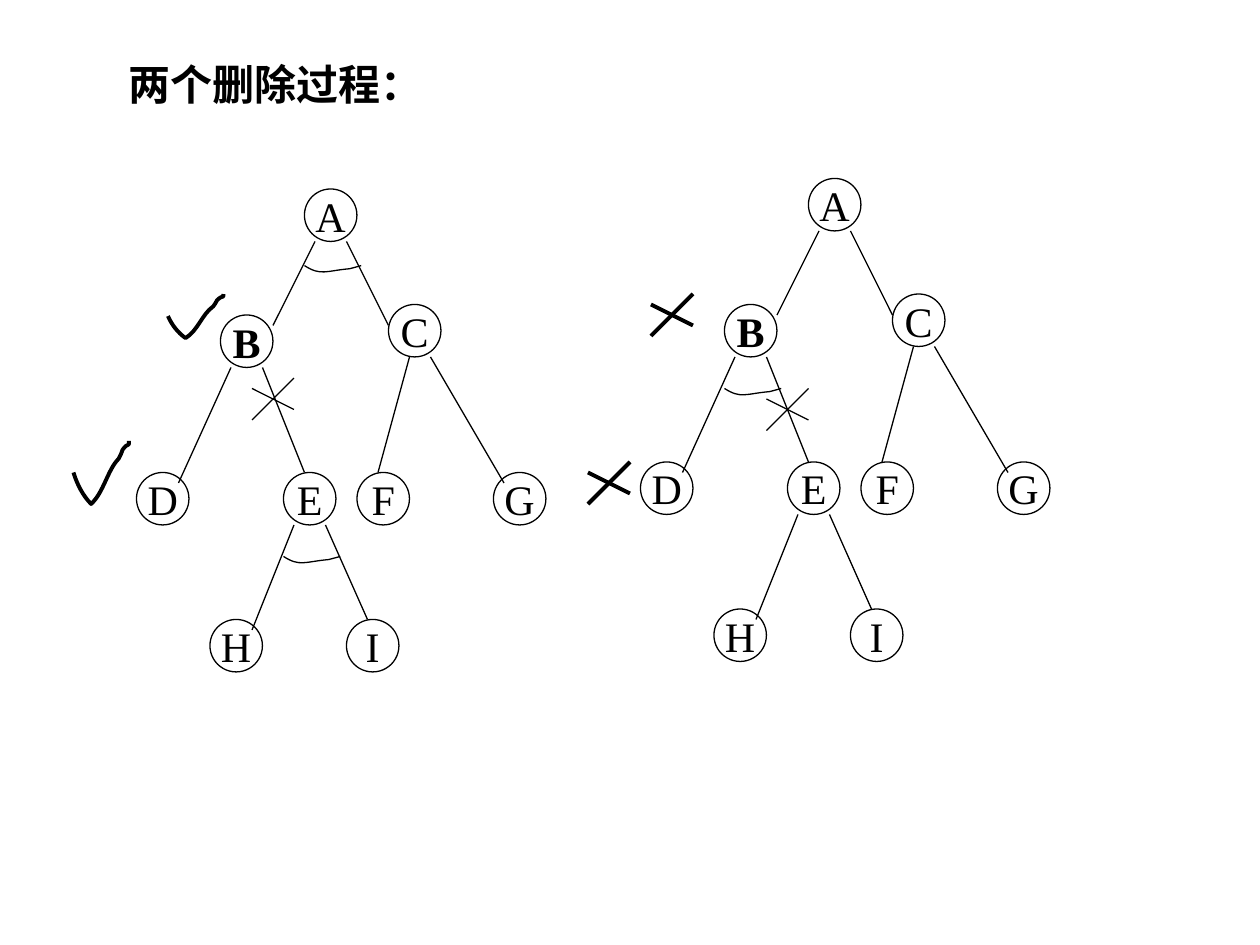
import pptx
import pptx.dml.color
import pptx.enum.shapes
import pptx.enum.text
import pptx.oxml
import pptx.oxml.ns
import pptx.util

THEME = {
    "ink": pptx.dml.color.RGBColor(0, 0, 0),
    "font": "Times New Roman",
    "text": pptx.util.Pt(24),
    "thin": pptx.util.Pt(0.75),
    "thick": pptx.util.Pt(2.25),
}

deck = pptx.Presentation()
deck.slide_width = pptx.util.Inches(10)
deck.slide_height = pptx.util.Inches(7.5)
slide = deck.slides.add_slide(deck.slide_layouts[5])
shapes = slide.shapes
CELL = deck.slide_width // 120

NODE_SIZE = 5
NODES = {
    "A": (29, 18), "B": (21, 30), "C": (37, 29),
    "D": (13, 45), "E": (27, 45), "F": (34, 45), "G": (47, 45),
    "H": (20, 59), "I": (33, 59),
}
EDGES = [
    (30, 23, 26, 31), (33, 23, 37, 31),
    (22, 35, 17, 46), (25, 35, 29, 45),
    (39, 34, 36, 45), (41, 34, 48, 46),
    (28, 50, 24, 60), (31, 50, 35, 59),
]
CROSS = [(4, 0, 0, 4), (0, 1, 4, 3)]
ARC = [(0, 0), (1.56, 1), (2, 0.5), (4.3, 0.3), (4.7, 0.2), (5.4, 0), (5.4, 0)]
TICK = [
    (0, 3), (0.36, 4.2), (0.96, 5.28), (1.68, 6), (2.88, 4.92), (3.24, 2.76),
    (4.3, 1.7), (4.44, 1.44), (4.56, 1.2), (4.68, 0.84),
    (5.28, 0), (5.28, 0.7), (5.28, 0),
]
TREES = [
    {"origin": (0, 0), "arcs": [(29, 25.3), (27, 53)], "cut": (24, 36)},
    {"origin": (48, -1), "arcs": [(21, 38)], "cut": (25, 38)},
]


def draw_lines(segments, column, row, width):
    for x1, y1, x2, y2 in segments:
        line = shapes.add_connector(
            pptx.enum.shapes.MSO_CONNECTOR.STRAIGHT,
            CELL * (column + x1), CELL * (row + y1),
            CELL * (column + x2), CELL * (row + y2))
        line.line.color.rgb = THEME["ink"]
        line.line.width = width
        line._element.spPr.append(pptx.oxml.parse_xml(
            "<a:effectLst %s/>" % pptx.oxml.ns.nsdecls("a")))


def draw_curve(controls, column, row, width, stretch=1):
    points = [(round(CELL * (column + x)), round(CELL * (row + y * stretch)))
              for x, y in controls]
    builder = shapes.build_freeform(*points[0])
    builder.add_line_segments(points[1:], close=False)
    curve = builder.convert_to_shape()
    curve.shadow.inherit = False
    curve.fill.background()
    curve.line.color.rgb = THEME["ink"]
    curve.line.width = width
    straight = list(curve._element.iter(pptx.oxml.ns.qn("a:lnTo")))
    for first in range(0, len(straight), 3):
        bezier = pptx.oxml.parse_xml(
            "<a:cubicBezTo %s/>" % pptx.oxml.ns.nsdecls("a"))
        straight[first].addprevious(bezier)
        for step in straight[first:first + 3]:
            bezier.append(step[0])
            step.getparent().remove(step)


heading = shapes.title
heading.left, heading.top = CELL * 11, CELL * 5
heading.width, heading.height = CELL * 65, CELL * 6
heading.text_frame.text = "两个删除过程："
heading.text_frame.auto_size = pptx.enum.text.MSO_AUTO_SIZE.NONE
heading.text_frame.vertical_anchor = pptx.enum.text.MSO_ANCHOR.TOP
heading_line = heading.text_frame.paragraphs[0]
heading_line.alignment = pptx.enum.text.PP_ALIGN.LEFT
heading_line.font.name = THEME["font"]
heading_line.font.size = THEME["text"]
heading_line.font.bold = True
heading_line.font.color.rgb = THEME["ink"]

for tree in TREES:
    left, top = tree["origin"]
    for letter, (column, row) in NODES.items():
        node = shapes.add_shape(
            pptx.enum.shapes.MSO_SHAPE.OVAL,
            CELL * (left + column), CELL * (top + row),
            CELL * NODE_SIZE, CELL * NODE_SIZE)
        node.shadow.inherit = False
        node.fill.background()
        node.line.color.rgb = THEME["ink"]
        node.line.width = THEME["thin"]
        node.text_frame.text = letter
        node.text_frame.word_wrap = False
        node.text_frame.vertical_anchor = pptx.enum.text.MSO_ANCHOR.MIDDLE
        label = node.text_frame.paragraphs[0]
        label.alignment = pptx.enum.text.PP_ALIGN.CENTER
        label.font.name = THEME["font"]
        label.font.size = THEME["text"]
        label.font.bold = letter == "B"
        label.font.color.rgb = THEME["ink"]
    draw_lines(EDGES, left, top, THEME["thin"])
    for column, row in tree["arcs"]:
        draw_curve(ARC, left + column, top + row, THEME["thin"])
    column, row = tree["cut"]
    draw_lines(CROSS, left + column, top + row, THEME["thin"])

for column, row, stretch in [(7, 42, 1), (16, 28, 0.7)]:
    draw_curve(TICK, column, row, THEME["thick"], stretch)
for column, row in [(56, 44), (62, 28)]:
    draw_lines(CROSS, column, row, THEME["thick"])

deck.save("out.pptx")
